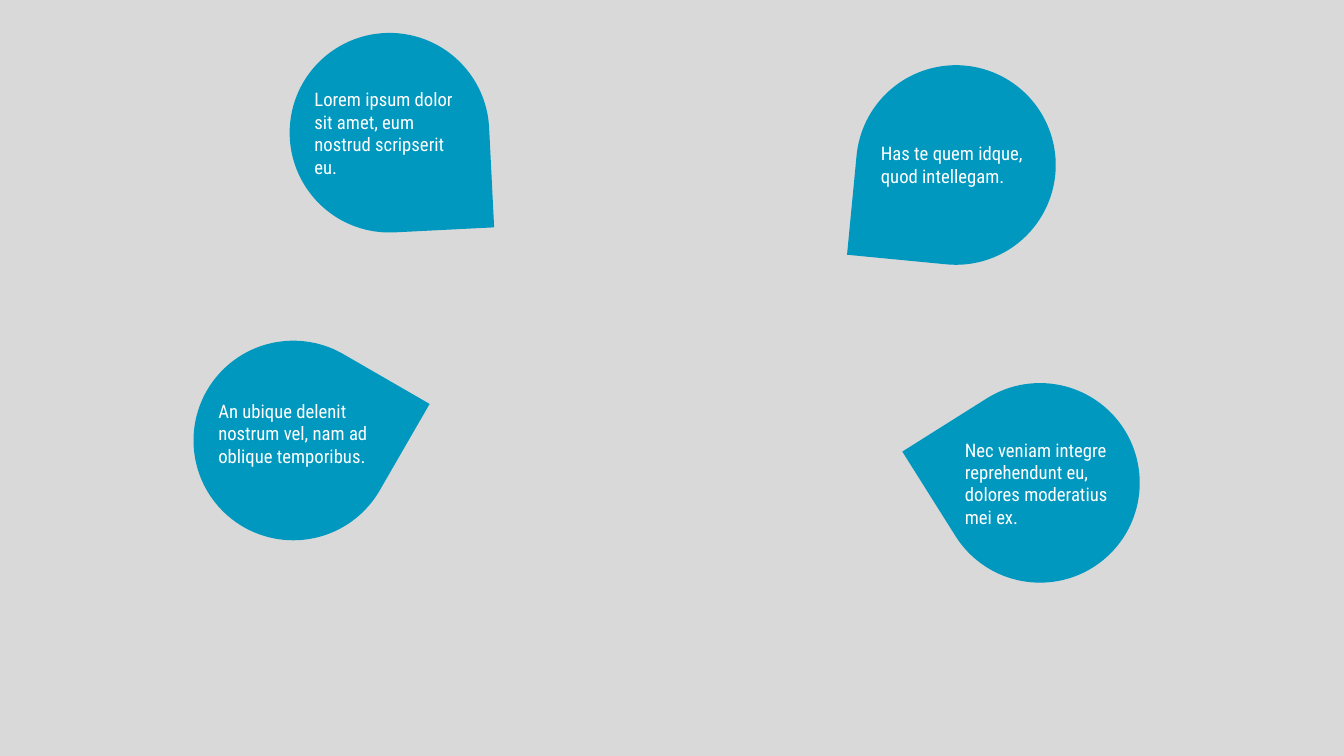
from pptx import Presentation
from pptx.dml.color import RGBColor
from pptx.enum.shapes import MSO_SHAPE
from pptx.enum.text import MSO_ANCHOR
from pptx.util import Inches, Pt

RECTANGLE = MSO_SHAPE.RECTANGLE
TEARDROP = MSO_SHAPE.TEAR
MIDDLE = MSO_ANCHOR.MIDDLE

COLORS = {"backdrop": "D9D9D9", "drop": "0098BF", "text": "FFFFFF"}
FONT = "Roboto Condensed"
SLIDE_W, SLIDE_H = 20, 11.25
DROP_SIZE = 2.97
CAPTION_W, CAPTION_H = 2.42, 1.68
CAPTION_INDENT = 0.27  # from the left of the drop to its caption

# Drop left, drop top, rotation, caption top, caption
CALLOUTS = [
    (4.31, 0.49, 87.1, 1.14,
     "Lorem ipsum dolor sit amet, eum nostrud scripserit eu."),
    (12.74, 0.97, 185.5, 1.61,
     "Has te quem idque, quod intellegam."),
    (2.88, 5.07, 30, 5.61,
     "An ubique delenit nostrum vel, nam ad oblique temporibus."),
    (13.99, 5.7, 237.8, 6.35,
     "Nec veniam integre reprehendunt eu, dolores moderatius mei ex."),
]


def add_filled(slide, preset, left, top, width, height, color, rotation=0):
    shape = slide.shapes.add_shape(
        preset, Inches(left), Inches(top), Inches(width), Inches(height))
    shape.shadow.inherit = False
    shape.fill.solid()
    shape.fill.fore_color.rgb = RGBColor.from_string(COLORS[color])
    shape.line.fill.background()
    shape.rotation = rotation


def add_text(slide, text, left, top, width, height, *,
             size=20, color="text", anchor=MIDDLE, space_before=4):
    box = slide.shapes.add_textbox(
        Inches(left), Inches(top), Inches(width), Inches(height))
    frame = box.text_frame
    frame.word_wrap = True
    frame.vertical_anchor = anchor
    paragraph = frame.paragraphs[0]
    paragraph.space_before = Pt(space_before)
    run = paragraph.add_run()
    run.text = text
    run.font.name = FONT
    run.font.size = Pt(size)
    run.font.color.rgb = RGBColor.from_string(COLORS[color])


def main():
    prs = Presentation()
    prs.slide_width, prs.slide_height = Inches(SLIDE_W), Inches(SLIDE_H)
    slide = prs.slides.add_slide(prs.slide_layouts[6])

    # Grey backdrop
    add_filled(slide, RECTANGLE, 0, 0, SLIDE_W, SLIDE_H, "backdrop")

    # Teardrops with their upright captions
    for left, top, rotation, caption_top, caption in CALLOUTS:
        add_filled(slide, TEARDROP, left, top, DROP_SIZE, DROP_SIZE,
                   "drop", rotation)
        add_text(slide, caption, left + CAPTION_INDENT, caption_top,
                 CAPTION_W, CAPTION_H)

    prs.save("out.pptx")


if __name__ == "__main__":
    main()
